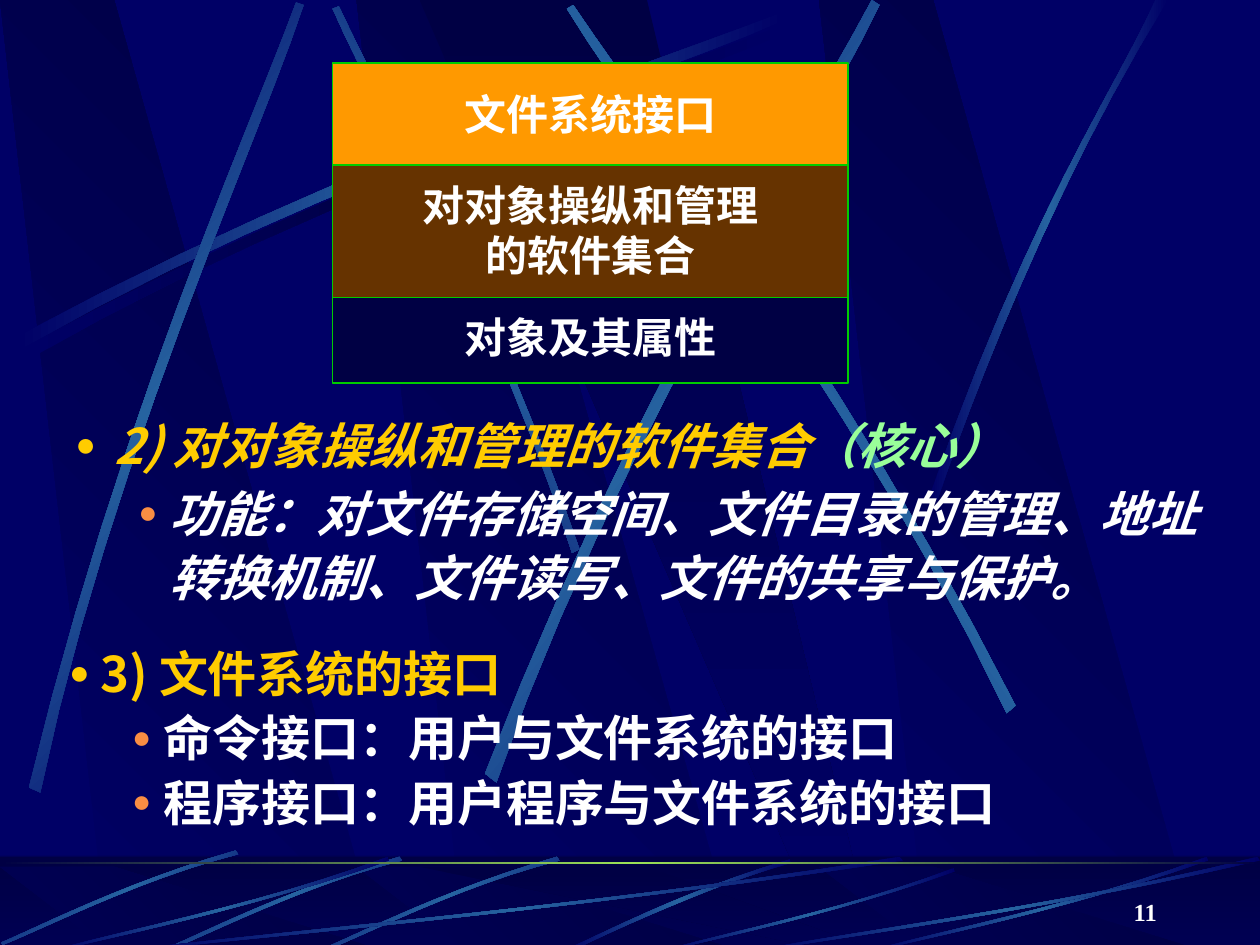
from lxml.etree import SubElement
from pptx import Presentation
from pptx.dml.color import RGBColor
from pptx.enum.shapes import MSO_SHAPE as Shape
from pptx.enum.text import MSO_ANCHOR as Anchor, PP_ALIGN as Align
from pptx.oxml.ns import qn
from pptx.util import Inches, Pt

NAVY = RGBColor(0x00, 0x00, 0x66)
DARK = RGBColor(0x00, 0x00, 0x44)
BEAM = RGBColor(0x26, 0x63, 0xA0)
LIME = RGBColor(0x9C, 0xE1, 0x57)
GREEN = RGBColor(0x00, 0xCC, 0x00)
MINT = RGBColor(0x99, 0xFF, 0x99)
ORANGE = RGBColor(0xFF, 0x99, 0x00)
BROWN = RGBColor(0x66, 0x33, 0x00)
GOLD = RGBColor(0xFF, 0xCC, 0x00)
CORAL = RGBColor(0xF9, 0x8D, 0x43)
WHITE = RGBColor(0xFF, 0xFF, 0xFF)
GLOW = (NAVY, BEAM, NAVY)
SHADE = (NAVY, DARK, NAVY)
CURVE_STEPS = 12

presentation = Presentation()
presentation.slide_width = Inches(10)
presentation.slide_height = Inches(7.5)
COLUMN = presentation.slide_width // 10
ROW = presentation.slide_height / 7.5
slide = presentation.slides.add_slide(presentation.slide_layouts[6])
slide.background.fill.solid()
slide.background.fill.fore_color.rgb = NAVY
shapes = slide.shapes


def paint_gradient(shape, colours, angle):
    """Fill with evenly spaced colours; the angle runs clockwise in degrees."""
    shape.shadow.inherit = False
    shape.line.fill.background()
    shape.fill.gradient()
    gradient = shape._element.spPr.find(qn("a:gradFill"))
    stops = gradient.find(qn("a:gsLst"))
    stops.clear()
    for index, colour in enumerate(colours):
        position = 100000 * index // (len(colours) - 1)
        stop = SubElement(stops, qn("a:gs"), pos=str(position))
        SubElement(stop, qn("a:srgbClr"), val=str(colour))
    gradient.find(qn("a:lin")).set("ang", str(round(angle * 60000)))


def draw_outline(points, colours, angle):
    points = [(round(x * COLUMN), round(y * ROW)) for x, y in points]
    builder = shapes.build_freeform(*points[0])
    builder.add_line_segments(points[1:], close=True)
    paint_gradient(builder.convert_to_shape(), colours, angle)


# Backdrop: each streak is two cubic curves of four points each
PANEL = [(0.285, 1), (1, 1), (0.3, 0), (0, 0)]
WEDGE = [(0, 0), (0.9, 1), (1, 1), (0.5, 0)]
SWEEP = [(1, 0.04), (0.57, 0.57), (0.17, 0.85), (0.005, 1),
         (0, 0.99), (0.165, 0.81), (0.62, 0.51), (0.995, 0)]
LONG = [(0.14, 2.67), (2.78, 1.25), (5.18, 0.51), (6.2, 0.1),
        (6.23, 0.16), (5.22, 0.61), (2.48, 1.43), (0.17, 2.77)]
SHORT = [(4.42, 6.8), (3.55, 7.05), (2.87, 7.4), (2.56, 7.53),
         (2.57, 7.55), (2.88, 7.43), (3.65, 7.03), (4.44, 6.83)]

upper_streaks = [
    ([(x + 0.06, y + 0.08) for x, y in LONG], SHADE, 0),
    ([(4.6, 4.36), (3.91, 2.34), (3.02, 0.77), (2.69, 0.05),
      (2.64, 0.07), (2.95, 0.79), (3.98, 2.58), (4.54, 4.39)], GLOW, 315),
    (LONG, GLOW, 0),
    ([(0.23, 6.25), (0.93, 3.34), (1.97, 1.05), (2.35, 0.02),
      (2.41, 0.04), (2.07, 1.08), (0.86, 3.68), (0.32, 6.29)], GLOW, 48.3),
    ([(3.85, 6.14), (4.98, 3.2), (6.38, 1.02), (6.92, 0),
      (6.98, 0.04), (6.49, 1.08), (4.86, 3.55), (3.94, 6.21)], GLOW, 38.4),
    ([(8.06, 5.6), (6.7, 2.93), (5.16, 0.95), (4.55, 0.04),
      (4.5, 0.07), (5.07, 1.01), (6.85, 3.25), (7.99, 5.66)], GLOW, 325.2),
    ([(7.38, 3.93), (8.14, 1.73), (8.88, 0.66), (9.17, 0),
      (9.27, 0), (8.36, 1.45), (7.69, 3.22), (7.44, 3.97)], GLOW, 0),
]
lower_streaks = [
    ([(6.27, 6.82), (5.37, 7.09), (4.77, 7.42), (4.48, 7.54),
      (4.53, 7.55), (4.9, 7.37), (5.71, 7), (6.28, 6.85)], GLOW, 0),
]
for shift_x, shift_y in [(0, 0), (1.25, 0), (2.55, 0.05)]:
    moved = [(x - shift_x, y - shift_y) for x, y in SHORT]
    lower_streaks.append((moved, GLOW, 45.1))
for left, top, width in [(1, 6.8, 6.17), (0.42, 6.8, 2.67), (5.27, 6.89, 2.31),
                         (6.92, 6.8, 2.67), (6, 6.8, 4)]:
    sweep = [(left + x * width, top + y * (7.55 - top)) for x, y in SWEEP]
    lower_streaks.append((sweep, GLOW, 0))

for top, height, streaks in [(0, 7.52, upper_streaks), (6.88, 0.66, lower_streaks)]:
    is_floor = top > 0
    if is_floor:
        floor = shapes.add_shape(Shape.RECTANGLE, 0, round(6.8 * ROW), 10 * COLUMN, round(0.75 * ROW))
        paint_gradient(floor, (DARK, NAVY), 90)
    for left, width, outline, colours, angle in [
            (2.83, 3.02, PANEL, (NAVY, DARK), 315), (0, 3.02, PANEL, (NAVY, DARK), 315),
            (6.5, 3.02, PANEL, (NAVY, DARK), 315), (3.33, 3.61, WEDGE, (DARK, NAVY), 90)]:
        draw_outline([(left + x * width, top + y * height) for x, y in outline], colours, angle)
    if is_floor:
        veil = shapes.add_shape(Shape.RECTANGLE, 0, round(6.79 * ROW), 10 * COLUMN, round(0.75 * ROW))
        veil.shadow.inherit = False
        veil.line.fill.background()
        veil.fill.solid()
        veil.fill.fore_color.rgb = DARK
        colour = veil._element.spPr.find(qn("a:solidFill"))[0]
        SubElement(colour, qn("a:alpha"), val="50000")
    for points, colours, angle in streaks:
        edge = []
        for a, b, c, d in (points[:4], points[4:]):
            for step in range(CURVE_STEPS + 1):
                t = step / CURVE_STEPS
                s = 1 - t
                edge.append([s**3 * a[i] + 3 * s * s * t * b[i] + 3 * s * t * t * c[i] + t**3 * d[i]
                             for i in (0, 1)])
        draw_outline(edge, colours, angle)

horizon = shapes.add_shape(Shape.RECTANGLE, 0, round(6.84 * ROW), 10 * COLUMN, round(0.02 * ROW))
paint_gradient(horizon, (DARK, LIME, DARK), 0)

# Bulleted text: level, margin, hanging indent and coloured runs of each paragraph
interface_points = [
    (0, 0.5, 0.25, [("3) 文件系统的接口", GOLD)]),
    (1, 1, 0.25, [("命令接口：用户与文件系统的接口", WHITE)]),
    (1, 1, 0.25, [("程序接口：用户程序与文件系统的接口", WHITE)]),
]
software_points = [
    (0, 0.81, 0.31, [("2) 对对象操纵和管理的软件集合", GOLD), ("（核心）", MINT)]),
    (1, 1.25, 0.25, [("功能：对文件存储空间、文件目录的管理、地址转换机制、文件读写、文件的共享与保护。", WHITE)]),
]
for left, top, width, height, italic, space, points in [
        (0.2, 5.01, 8.58, 1.64, False, 0, interface_points),
        (0, 3.2, 9.67, 1.85, True, 1.8, software_points)]:
    box = shapes.add_textbox(round(left * COLUMN), round(top * ROW), round(width * COLUMN), round(height * ROW))
    frame = box.text_frame
    frame.word_wrap = True
    for index, (level, margin, hanging, runs) in enumerate(points):
        paragraph = frame.add_paragraph() if index else frame.paragraphs[0]
        paragraph.level = level
        paragraph.line_spacing = 1.1
        if index:
            paragraph.space_before = Pt(space)
        properties = paragraph._p.get_or_add_pPr()
        properties.set("marL", str(Inches(margin)))
        properties.set("indent", str(-Inches(hanging)))
        bullet_colour = SubElement(properties, qn("a:buClr"))
        SubElement(bullet_colour, qn("a:srgbClr"), val=str(CORAL if level else GOLD))
        SubElement(properties, qn("a:buSzPct"), val="65000" if level else "70000")
        SubElement(properties, qn("a:buFont"), typeface="Times New Roman")
        SubElement(properties, qn("a:buChar"), char="●")
        font = paragraph.font
        font.name, font.size, font.bold, font.italic = "Noto Sans CJK SC", Pt(28), True, italic
        for text, colour in runs:
            run = paragraph.add_run()
            run.text = text
            run.font.color.rgb = colour

# Layers of the file system model, with the slide number
layers = [
    (2.31, 0.73, DARK, "对象及其属性"),
    (1.29, 1.07, BROWN, "对对象操纵和管理\n的软件集合"),
    (0.5, 0.81, ORANGE, "文件系统接口"),
]
labels = []
for top, height, colour, text in layers:
    layer = shapes.add_shape(Shape.RECTANGLE, round(2.64 * COLUMN), round(top * ROW),
                             round(4.09 * COLUMN), round(height * ROW))
    layer.shadow.inherit = False
    layer.fill.solid()
    layer.fill.fore_color.rgb = colour
    layer.line.color.rgb = GREEN
    layer.line.width = Pt(0.75)
    labels.append((layer, text, 24, Align.CENTER, Anchor.MIDDLE, False))
number = shapes.add_textbox(round(7.2 * COLUMN), round(6.9 * ROW), round(2.08 * COLUMN), round(0.5 * ROW))
labels.append((number, "11", 14, Align.RIGHT, Anchor.BOTTOM, True))

for shape, text, size, alignment, anchor, wrap in labels:
    frame = shape.text_frame
    frame.text = text
    frame.word_wrap = wrap
    frame.vertical_anchor = anchor
    for paragraph in frame.paragraphs:
        paragraph.alignment = alignment
        font = paragraph.font
        font.name, font.size, font.bold = "Times New Roman", Pt(size), True
        font.color.rgb = WHITE

presentation.save("out.pptx")
